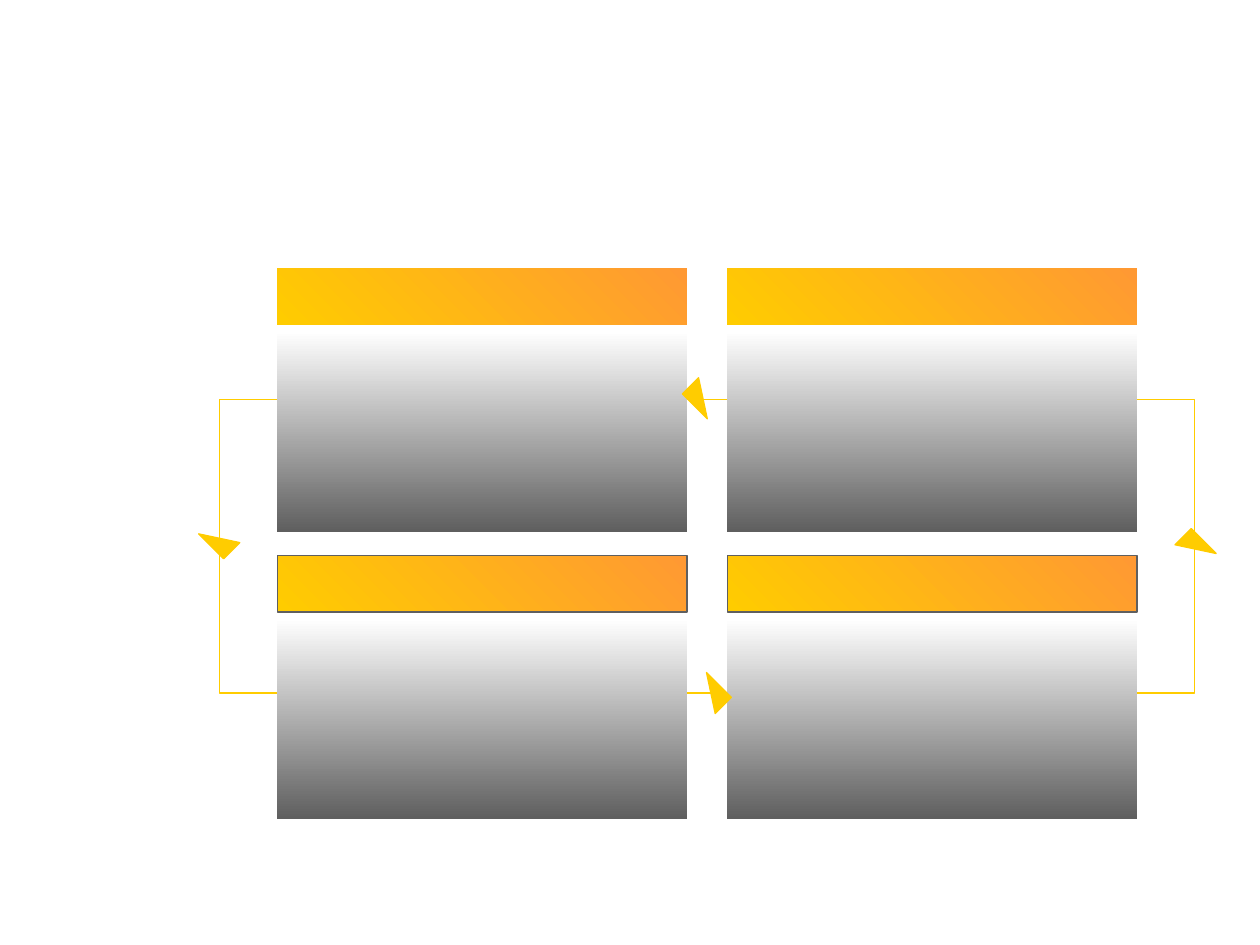
from dataclasses import dataclass

from pptx import Presentation
from pptx.dml.color import RGBColor
from pptx.enum.shapes import MSO_SHAPE
from pptx.util import Cm, Pt

RECT = MSO_SHAPE.RECTANGLE
TRIANGLE = MSO_SHAPE.RIGHT_TRIANGLE

YELLOW, ORANGE = "FFCC00", "FF9933"
GREY, WHITE = "5F5F5F", "FFFFFF"

# Card grid, in centimetres
LEFT, TOP = 5.59, 5.41
COLUMN_STEP, ROW_STEP = 9.07, 5.79
CARD_WIDTH = 8.26
HEADER_HEIGHT = 1.14
PANEL_OFFSET, PANEL_HEIGHT = 1.27, 4.04


@dataclass
class Box:
    left: float
    top: float
    width: float
    height: float


@dataclass
class Arrow:
    center_x: float
    center_y: float
    width: float
    height: float
    rotation: int


ARROWS = [
    Arrow(14.17, 8.03, 0.71, 0.46, 45),
    Arrow(14.33, 13.97, 0.71, 0.46, 225),
    Arrow(24.1, 11.07, 0.46, 0.71, 135),
    Arrow(4.42, 10.85, 0.46, 0.71, 315),
]


def rgb(value: str) -> RGBColor:
    return RGBColor.from_string(value)


def add_box(s, kind, box: Box, line: str | None = None):
    """Add an unfilled shape, outlined only if a line colour is given."""
    sp = s.shapes.add_shape(
        kind, Cm(box.left), Cm(box.top), Cm(box.width), Cm(box.height)
    )
    sp.shadow.inherit = False
    sp.fill.background()
    if line:
        sp.line.color.rgb = rgb(line)
        sp.line.width = Pt(0.75)
    else:
        sp.line.fill.background()
    return sp


def fill_gradient(sp, start: str, end: str, angle: int) -> None:
    """Fill from start to end, with the angle counted anticlockwise."""
    sp.fill.gradient()
    sp.fill.gradient_angle = angle
    for stop, color in zip(sp.fill.gradient_stops, (start, end)):
        stop.color.rgb = rgb(color)


def add_card(s, left: float, top: float, header_line: str | None) -> None:
    panel = add_box(s, RECT, Box(left, top + PANEL_OFFSET, CARD_WIDTH, PANEL_HEIGHT))
    fill_gradient(panel, GREY, WHITE, 90)
    header = add_box(s, RECT, Box(left, top, CARD_WIDTH, HEADER_HEIGHT), header_line)
    fill_gradient(header, YELLOW, ORANGE, 45)


def add_arrow(s, arrow: Arrow) -> None:
    left = arrow.center_x - arrow.width / 2
    top = arrow.center_y - arrow.height / 2
    sp = add_box(s, TRIANGLE, Box(left, top, arrow.width, arrow.height), YELLOW)
    sp.fill.solid()
    sp.fill.fore_color.rgb = rgb(YELLOW)
    sp.rotation = arrow.rotation


def main() -> None:
    prs = Presentation()
    prs.slide_width, prs.slide_height = Cm(25.4), Cm(19.05)
    s = prs.slides.add_slide(prs.slide_layouts[6])

    add_box(s, RECT, Box(4.42, 8.05, 19.66, 5.92), YELLOW)
    for column in range(2):
        for row, header_line in enumerate((None, GREY)):
            add_card(s, LEFT + column * COLUMN_STEP, TOP + row * ROW_STEP, header_line)
    for arrow in ARROWS:
        add_arrow(s, arrow)

    prs.save("out.pptx")


if __name__ == "__main__":
    main()
